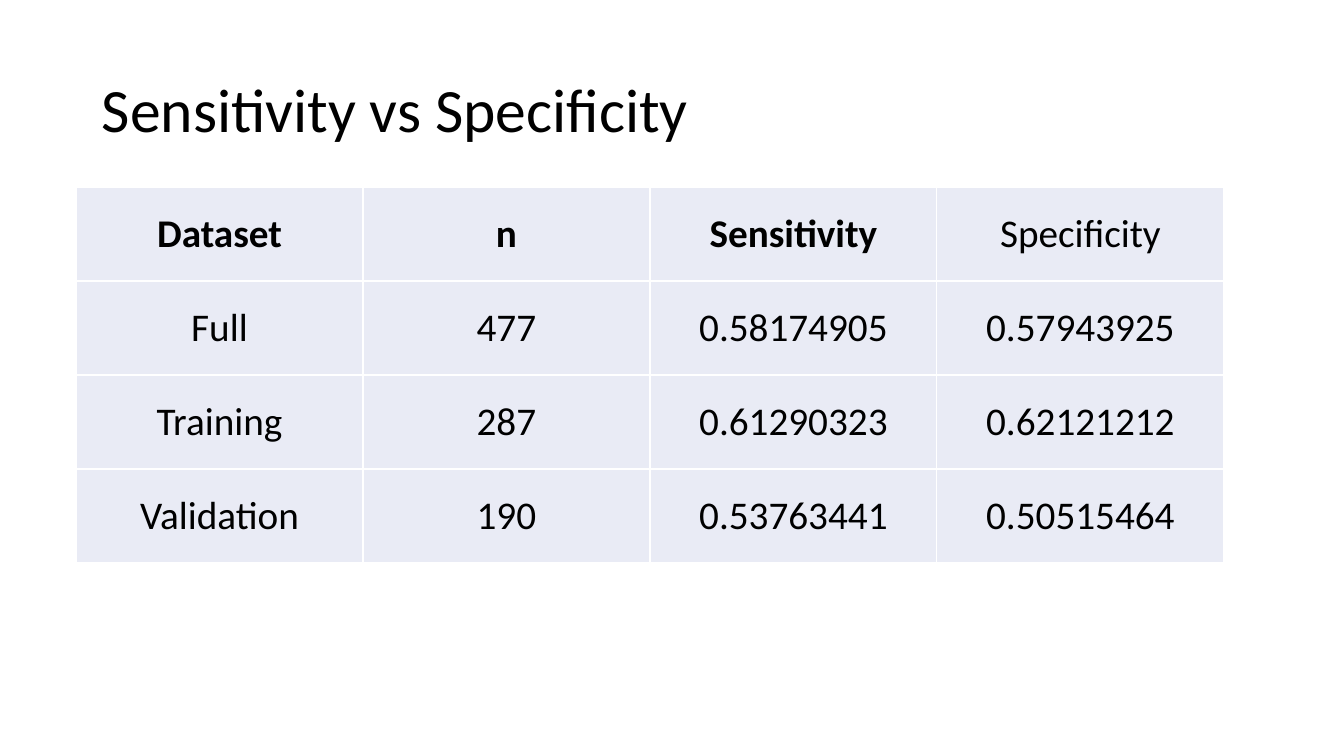
from lxml.etree import SubElement
from pptx import Presentation
from pptx.dml.color import RGBColor
from pptx.enum.text import MSO_ANCHOR, PP_ALIGN
from pptx.oxml.ns import qn
from pptx.util import Emu, Pt

SCALE = 914400 / 100.8  # EMU in one px
FONT = "Calibri"
INK, PALE, WHITE = "000000", "E9EBF5", "FFFFFF"
ROWS = [
    ("Dataset", "n", "Sensitivity", "Specificity"),
    ("Full", "477", "0.58174905", "0.57943925"),
    ("Training", "287", "0.61290323", "0.62121212"),
    ("Validation", "190", "0.53763441", "0.50515464"),
]
BOLD = ROWS[0][:3]


def px(size):
    return Emu(round(size * SCALE))


def color(code):
    return RGBColor.from_string(code)


def style(para, size, bold=False):
    font = para.font
    font.name, font.size, font.bold = FONT, Pt(size), bold
    font.color.rgb = color(INK)


def add_title(slide, text, left, top, width, height):
    frame = slide.shapes.add_textbox(
        px(left), px(top), px(width), px(height)).text_frame
    frame.word_wrap = True
    frame.vertical_anchor = MSO_ANCHOR.MIDDLE
    para = frame.paragraphs[0]
    para.text = text
    para.line_spacing = 0.9
    style(para, 44)


def add_edges(cell, code):
    props = cell._tc.get_or_add_tcPr()
    for side in ("lnL", "lnR", "lnT", "lnB"):
        line = SubElement(props, qn("a:" + side), w=str(Pt(1)))
        fill = SubElement(line, qn("a:solidFill"))
        SubElement(fill, qn("a:srgbClr"), val=code)


def fill_cell(cell, text):
    add_edges(cell, WHITE)
    cell.fill.solid()
    cell.fill.fore_color.rgb = color(PALE)
    cell.vertical_anchor = MSO_ANCHOR.MIDDLE
    cell.margin_left = cell.margin_right = cell.margin_top = px(1)
    cell.margin_bottom = 0
    para = cell.text_frame.paragraphs[0]
    para.text = text
    para.alignment = PP_ALIGN.CENTER
    style(para, 28, text in BOLD)


def add_grid(slide, rows, left, top, wide, high):
    count, cols = len(rows), len(rows[0])
    table = slide.shapes.add_table(
        count, cols, px(left), px(top), px(wide * cols), px(high * count)).table
    for col in table.columns:
        col.width = px(wide)
    for line, texts in zip(table.rows, rows):
        line.height = px(high)
        for cell, text in zip(line.cells, texts):
            fill_cell(cell, text)


def main():
    deck = Presentation()
    deck.slide_width, deck.slide_height = px(1344), px(756)
    slide = deck.slides.add_slide(deck.slide_layouts[6])

    # Heading
    add_title(slide, "Sensitivity vs Specificity", 92, 40, 1159, 146)

    # Results by dataset
    add_grid(slide, ROWS, 76, 187, 287, 94)

    deck.save("out.pptx")


if __name__ == "__main__":
    main()
